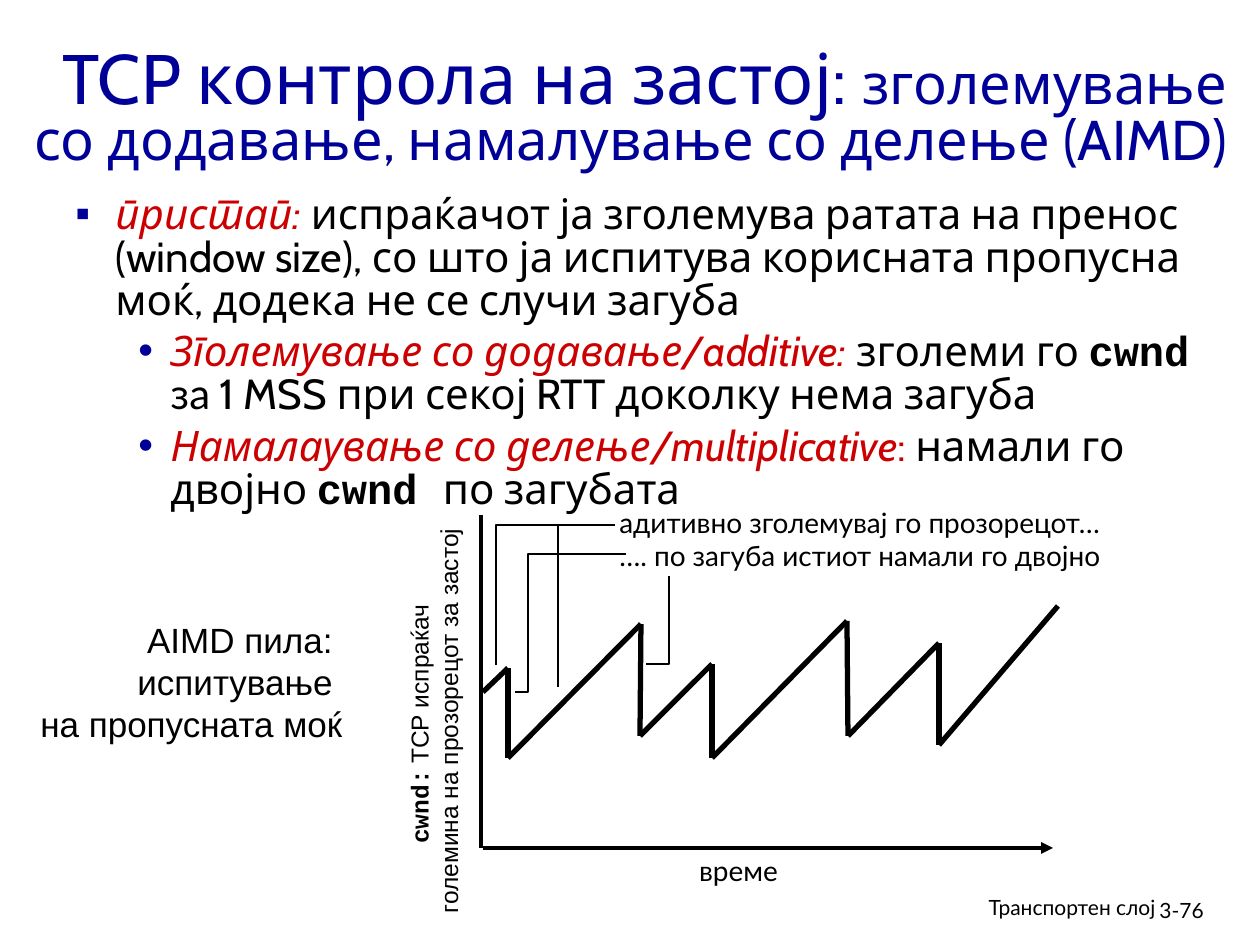
"""Build the TCP AIMD congestion control slide."""
from itertools import pairwise

from lxml.etree import SubElement
from pptx import Presentation
from pptx.dml.color import RGBColor
from pptx.enum.shapes import MSO_CONNECTOR
from pptx.enum.text import MSO_ANCHOR, MSO_AUTO_SIZE, PP_ALIGN
from pptx.oxml.ns import qn
from pptx.util import Emu, Pt

THEME = {
    "blue": "000099", "red": "CC0000", "black": "000000", "white": "FFFFFF",
    "head": "Cabin", "label": "Lato", "plain": "Arial", "code": "Courier New",
    "title": 40, "subtitle": 32, "body": 24, "caption": 20, "note": 16, "axis": 14, "footer": 12,
    "axis_line": 2.25, "saw_line": 3, "callout_line": 0.75,
}
LANGUAGE = "mk-MK"
ALIGN = {"l": PP_ALIGN.LEFT, "c": PP_ALIGN.CENTER, "r": PP_ALIGN.RIGHT}

STYLES = {
    "title": ("head", "title", "blue", ""),
    "subtitle": ("head", "subtitle", "blue", ""),
    "body": ("head", "body", "black", ""),
    "key": ("head", "body", "red", "i"),
    "colon": ("head", "body", "red", ""),
    "code": ("code", "body", "black", "b"),
    "word": ("label", "body", "black", ""),
    "caption": ("plain", "caption", "black", ""),
    "axis": ("plain", "axis", "black", ""),
    "axis_code": ("code", "axis", "black", "b"),
    "note": ("label", "note", "black", ""),
    "footer": ("label", "footer", "black", ""),
}

TITLE = [
    ("title", "TCP контрола на застој: "),
    ("subtitle", "зголемување со додавање, намалување со делење (AIMD)"),
]
BULLETS = [
    (0, "▪", 40, 40, [
        ("key", "пристап: "),
        ("body", "испраќачот ја зголемува ратата на пренос (window size), "
                 "со што ја испитува корисната пропусна моќ, додека не се случи загуба"),
    ]),
    (1, "•", 95, 32, [
        ("key", "Зголемување со додавање/additive: "),
        ("body", "зголеми го "),
        ("code", "cwnd "),
        ("word", "за"),
        ("body", " 1 MSS при секој RTT доколку нема загуба"),
    ]),
    (1, "•", 95, 32, [
        ("key", "Намалаување со делење/multiplicative"),
        ("colon", ": "),
        ("body", "намали го двојно "),
        ("code", "cwnd "),
        ("body", "по загубата"),
    ]),
]
LABELS = [
    ((25, 612, 330, 140), "r", False, [
        [("caption", "AIMD пила: ")],
        [("caption", "испитување ")],
        [("caption", "на пропусната моќ")],
    ]),
    ((607, 499, 520, 81), "l", False, [
        [("note", "адитивно зголемувај го прозорецот…")],
        [("note", "…. по загуба истиот намали го двојно")],
    ]),
    ((673, 847, 131, 47), "c", False, [[("note", "време")]]),
    ((769, 888, 399, 39), "r", True, [[("footer", "Транспортен слој")]]),
    ((1147, 891, 93, 38), "l", True, [[("footer", "3-76")]]),
]
AXIS_LABEL = [
    [("axis_code", "cwnd:"), ("axis", " TCP испраќач ")],
    [("axis", "големина на прозорецот за застој")],
]
SAWTOOTH = [
    (483, 692), (508, 668), (508, 758), (641, 624), (640, 736), (712, 664),
    (712, 758), (847, 621), (848, 736), (939, 643), (939, 745), (1058, 606),
]
CALLOUTS = [
    [(615, 525), (496, 525), (496, 665)],
    [(626, 554), (528, 554), (528, 692), (515, 692)],
    [(615, 525), (558, 525), (558, 687)],
    [(669, 576), (669, 664), (646, 664)],
]


def px(n):
    return Emu(round(n * 914400 / 126))


def color(name):
    return RGBColor.from_string(THEME[name])


def add_runs(p, runs):
    for style, text in runs:
        font, size, ink, marks = STYLES[style]
        r = p.add_run()
        r.text = text
        r.font.name = THEME[font]
        r.font.size = Pt(THEME[size])
        r.font.color.rgb = color(ink)
        r.font.bold = "b" in marks
        r.font.italic = "i" in marks
        r._r.get_or_add_rPr().set("lang", LANGUAGE)


def next_paragraph(tf, i):
    return tf.add_paragraph() if i else tf.paragraphs[0]


def add_label(s, box, align, wrap, lines):
    sp = s.shapes.add_textbox(*map(px, box))
    tf = sp.text_frame
    tf.word_wrap = wrap
    tf.auto_size = MSO_AUTO_SIZE.NONE if wrap else MSO_AUTO_SIZE.SHAPE_TO_FIT_TEXT
    for i, runs in enumerate(lines):
        p = next_paragraph(tf, i)
        p.alignment = ALIGN[align]
        add_runs(p, runs)
    return sp


def add_title(s):
    sp = s.shapes.title
    sp.left, sp.top, sp.width, sp.height = map(px, (0, 32, 1240, 158))
    tf = sp.text_frame
    tf.word_wrap = True
    tf.auto_size = MSO_AUTO_SIZE.NONE
    tf.vertical_anchor = MSO_ANCHOR.MIDDLE
    p = tf.paragraphs[0]
    p.alignment = PP_ALIGN.RIGHT
    p.line_spacing = 0.8
    add_runs(p, TITLE)


def add_bullets(s):
    tf = s.shapes.add_textbox(*map(px, (63, 189, 1154, 199))).text_frame
    tf.word_wrap = True
    for i, (level, mark, margin, hang, runs) in enumerate(BULLETS):
        p = next_paragraph(tf, i)
        p.level = level
        p.line_spacing = 0.85
        p.space_before = Pt(5 if i else 0)
        pPr = p._p.get_or_add_pPr()
        pPr.set("marL", str(px(margin)))
        pPr.set("indent", str(px(-hang)))
        SubElement(SubElement(pPr, qn("a:buClr")), qn("a:srgbClr"), val=THEME["blue"])
        SubElement(pPr, qn("a:buFont"), typeface=THEME["plain"])
        SubElement(pPr, qn("a:buChar"), char=mark)
        add_runs(p, runs)


def add_line(s, start, end, width, arrow=False):
    line = s.shapes.add_connector(MSO_CONNECTOR.STRAIGHT, *map(px, start + end))
    line.line.color.rgb = color("black")
    line.line.width = Pt(THEME[width])
    if arrow:
        SubElement(line.line._get_or_add_ln(), qn("a:tailEnd"), type="triangle")
    SubElement(line._element.spPr, qn("a:effectLst"))


def add_callout(s, points):
    start, *rest = [tuple(map(px, point)) for point in points]
    builder = s.shapes.build_freeform(*start)
    builder.add_line_segments(rest, close=False)
    sp = builder.convert_to_shape()
    sp.shadow.inherit = False
    sp.fill.background()
    sp.line.color.rgb = color("black")
    sp.line.width = Pt(THEME["callout_line"])


def main():
    prs = Presentation()
    prs.slide_width, prs.slide_height = px(1260), px(945)
    s = prs.slides.add_slide(prs.slide_layouts[5])
    add_title(s)
    add_bullets(s)
    axis = add_label(s, (228, 685, 412, 72), "c", False, AXIS_LABEL)
    axis.rotation = 270
    axis.fill.solid()
    axis.fill.fore_color.rgb = color("white")
    add_line(s, (483, 848), (1053, 848), "axis_line", arrow=True)
    add_line(s, (481, 515), (481, 848), "axis_line")
    for start, end in pairwise(SAWTOOTH):
        add_line(s, start, end, "saw_line")
    for points in CALLOUTS:
        add_callout(s, points)
    for label in LABELS:
        add_label(s, *label)
    prs.save("out.pptx")


if __name__ == "__main__":
    main()
